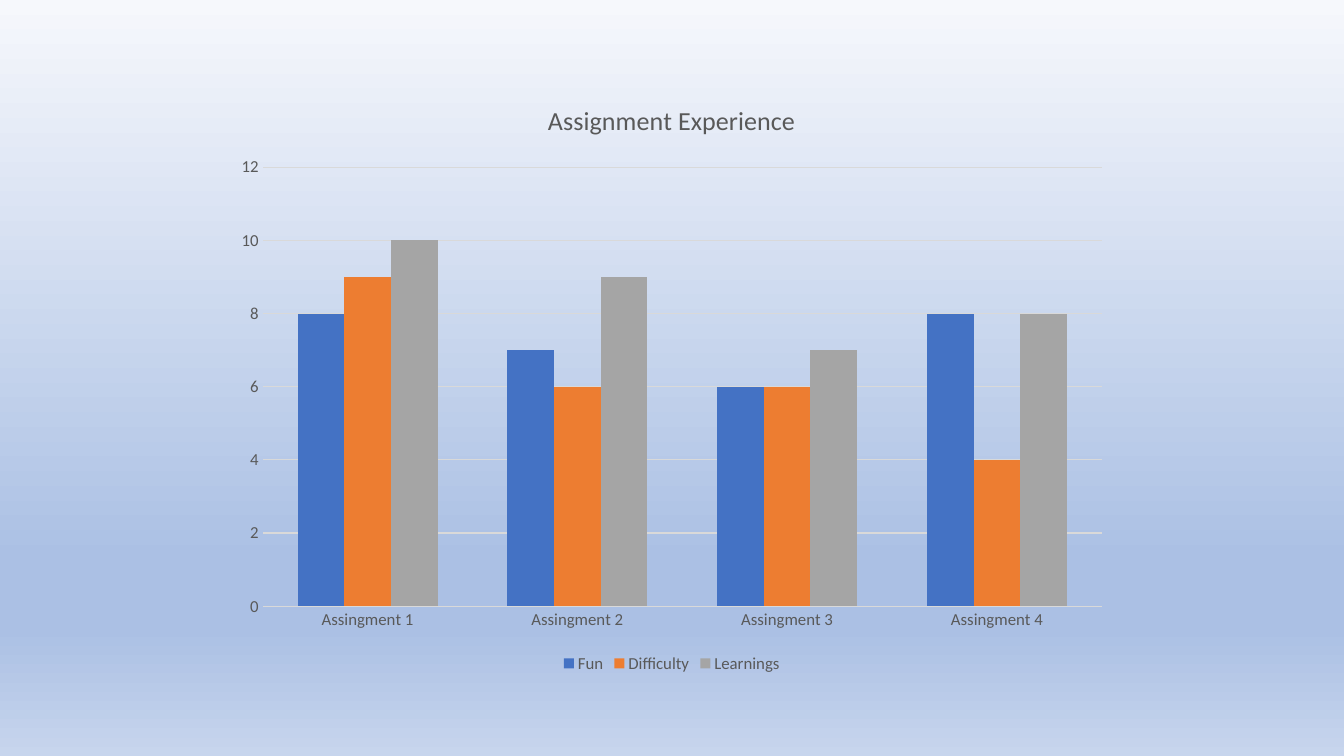
"""Build a slide with a clustered column chart of assignment experience."""
from dataclasses import dataclass

from lxml import etree
from pptx import Presentation
from pptx.chart.chart import Chart
from pptx.chart.data import CategoryChartData
from pptx.dml.color import RGBColor
from pptx.enum.chart import XL_CHART_TYPE, XL_LEGEND_POSITION, XL_TICK_MARK
from pptx.oxml.ns import qn
from pptx.slide import Slide
from pptx.text.text import Font
from pptx.util import Cm, Pt

COLUMNS = XL_CHART_TYPE.COLUMN_CLUSTERED
BOTTOM = XL_LEGEND_POSITION.BOTTOM
NO_TICK = XL_TICK_MARK.NONE
FACE = "Calibri"
COLORS = {
    "pale": "F6F8FC",
    "sky": "ABC0E4",
    "mist": "C7D5ED",
    "text": "595959",
    "grid": "D9D9D9",
    "blue": "4472C4",
    "orange": "ED7D31",
    "gray": "A5A5A5",
}


@dataclass(frozen=True)
class Stop:
    place: int
    color: str


@dataclass(frozen=True)
class Rating:
    name: str
    scores: tuple[int, ...]
    color: str


STOPS = (Stop(0, "pale"), Stop(74, "sky"), Stop(83, "sky"), Stop(100, "mist"))
TASKS = [f"Assingment {number}" for number in range(1, 5)]
RATINGS = (
    Rating("Fun", (8, 7, 6, 8), "blue"),
    Rating("Difficulty", (9, 6, 6, 4), "orange"),
    Rating("Learnings", (10, 9, 7, 8), "gray"),
)


def color(name: str) -> RGBColor:
    return RGBColor.from_string(COLORS[name])


def style(font: Font, size: float) -> None:
    font.name = FACE
    font.size = Pt(size)
    font.bold = False
    font.color.rgb = color("text")


def paint(slide: Slide) -> None:
    fill = slide.background.fill
    fill.gradient()
    fill.gradient_angle = 270
    stops = slide.element.find(".//" + qn("a:gsLst"))
    for old in list(stops):
        stops.remove(old)
    for stop in STOPS:
        mark = etree.SubElement(stops, qn("a:gs"), pos=str(stop.place * 1000))
        etree.SubElement(mark, qn("a:srgbClr"), val=COLORS[stop.color])


def add_title(chart: Chart) -> None:
    chart.has_title = True
    run = chart.chart_title.text_frame.paragraphs[0].add_run()
    run.text = "Assignment Experience"
    style(run.font, 18.6)


def set_axes(chart: Chart) -> None:
    for axis in (chart.category_axis, chart.value_axis):
        axis.major_tick_mark = NO_TICK
        axis.minor_tick_mark = NO_TICK
        axis.format.line.fill.background()
        style(axis.tick_labels.font, 12)
    scale = chart.value_axis
    scale.minimum_scale, scale.maximum_scale, scale.major_unit = 0, 12, 2
    scale.has_major_gridlines = True
    line = scale.major_gridlines.format.line
    line.width = Pt(0.75)
    line.color.rgb = color("grid")


def add_legend(chart: Chart) -> None:
    chart.has_legend = True
    chart.legend.position = BOTTOM
    chart.legend.include_in_layout = False
    style(chart.legend.font, 12)


def add_chart(slide: Slide) -> None:
    data = CategoryChartData()
    data.categories = TASKS
    for rating in RATINGS:
        data.add_series(rating.name, rating.scores)
    chart = slide.shapes.add_chart(
        COLUMNS, Cm(5.64), Cm(2.01), Cm(22.58), Cm(15.06), data
    ).chart
    style(chart.font, 10)
    plot = chart.plots[0]
    plot.gap_width = 150
    plot.overlap = 0
    plot.vary_by_categories = False
    for series, rating in zip(plot.series, RATINGS):
        series.format.fill.solid()
        series.format.fill.fore_color.rgb = color(rating.color)
    add_title(chart)
    set_axes(chart)
    add_legend(chart)


def main() -> None:
    deck = Presentation()
    deck.slide_width, deck.slide_height = Cm(33.87), Cm(19.05)
    slide = deck.slides.add_slide(deck.slide_layouts[6])
    paint(slide)
    add_chart(slide)
    deck.save("out.pptx")


if __name__ == "__main__":
    main()
